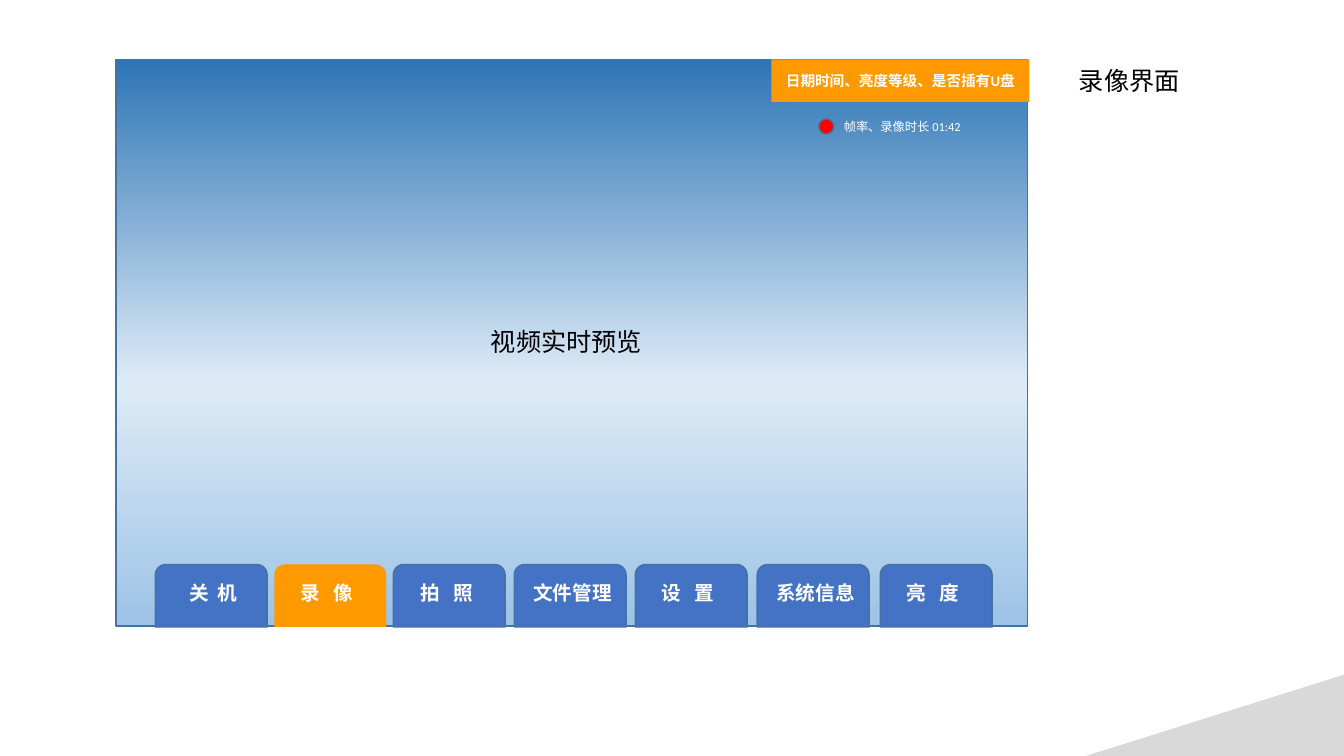
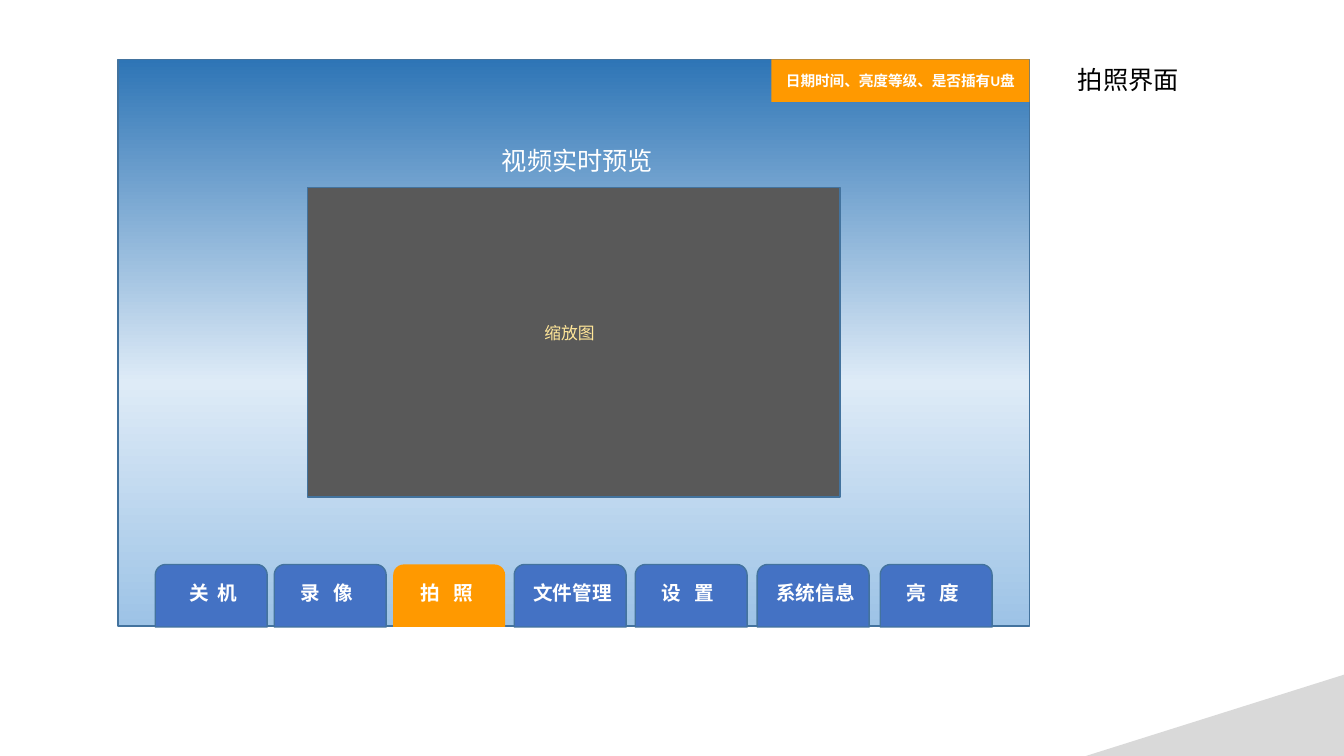
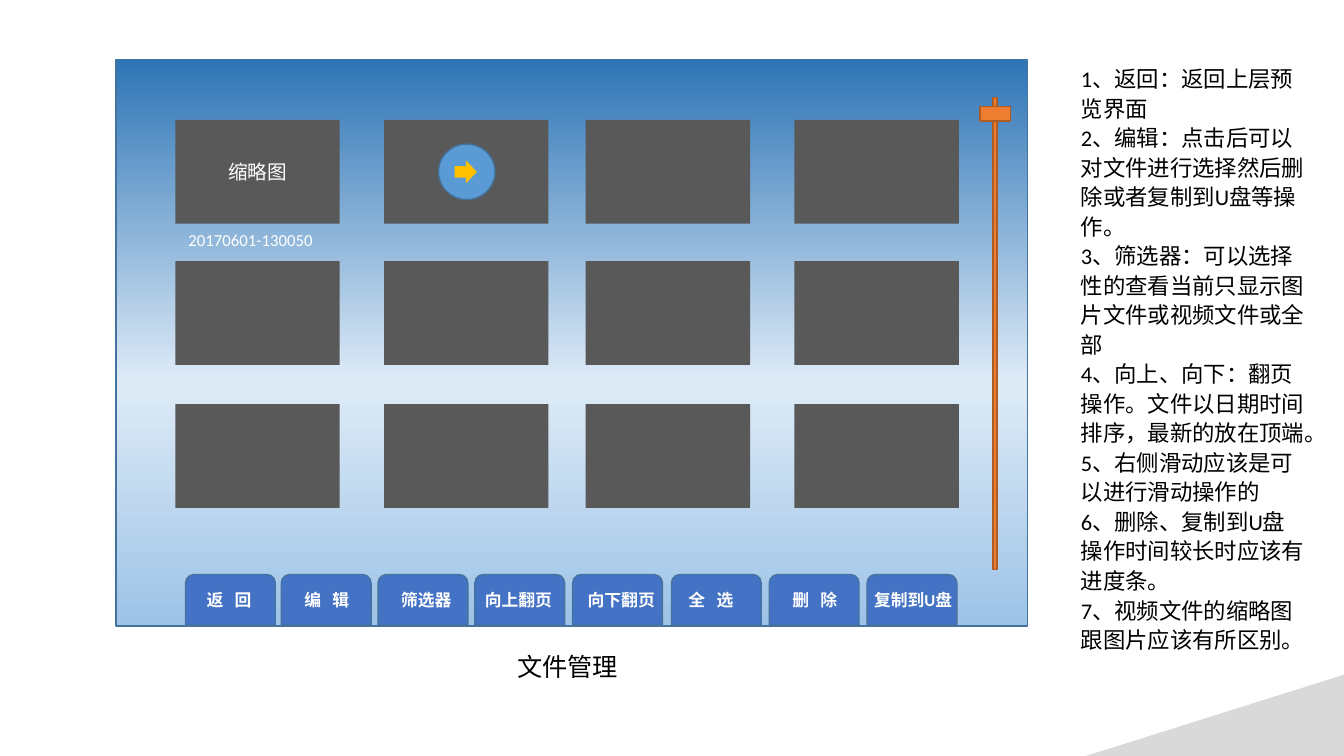
from copy import deepcopy
from dataclasses import dataclass
from typing import Optional

from pptx import Presentation
from pptx import util as u
from pptx.dml.color import RGBColor
from pptx.enum import shapes, text
from pptx.oxml.ns import qn

PX = 9144
FONT = "Calibri"

WHITE = RGBColor(0xFF, 0xFF, 0xFF)
BLACK = RGBColor(0x00, 0x00, 0x00)
BLUE = RGBColor(0x44, 0x72, 0xC4)
LIGHT_BLUE = RGBColor(0x5B, 0x9B, 0xD5)
OUTLINE = RGBColor(0x43, 0x73, 0x9E)
AMBER = RGBColor(0xFF, 0x99, 0x00)
GOLD = RGBColor(0xFF, 0xC0, 0x00)
CREAM = RGBColor(0xFF, 0xE6, 0x99)
ORANGE = RGBColor(0xED, 0x7D, 0x31)
DARK_ORANGE = RGBColor(0xAF, 0x5C, 0x24)
RED = RGBColor(0xFF, 0x00, 0x00)
CHARCOAL = RGBColor(0x59, 0x59, 0x59)
GREY = RGBColor(0xD9, 0xD9, 0xD9)
SKY_STOPS = (
    (0, RGBColor(0x2E, 0x75, 0xB6)),
    (0.57, RGBColor(0xDE, 0xEB, 0xF7)),
    (1, RGBColor(0x9D, 0xC3, 0xE6)),
)

Kind = shapes.MSO_SHAPE


@dataclass(frozen=True)
class Box:
    left: int
    top: int
    width: int
    height: int

    def emu(self) -> tuple:
        return tuple(value * PX for value in (self.left, self.top, self.width, self.height))


@dataclass(frozen=True)
class Style:
    size: float
    color: RGBColor = WHITE
    bold: bool = False
    align: text.PP_ALIGN = text.PP_ALIGN.LEFT
    tracking: int = 0


@dataclass(frozen=True)
class Tab:
    label: str
    left: int
    label_left: int
    tracking: int = 0


@dataclass(frozen=True)
class TabBar:
    top: int
    width: int
    height: int
    label_top: int
    label_width: int
    label_size: float
    tabs: tuple


MAIN_BAR = TabBar(560, 111, 62, 571, 111, 14, (
    Tab("关 机", 154, 178, 160),
    Tab("录 像", 272, 288, 320),
    Tab("拍 照", 390, 407, 320),
    Tab("文件管理", 510, 519),
    Tab("设 置", 630, 646, 320),
    Tab("系统信息", 751, 760),
    Tab("亮 度", 873, 889, 320),
))
FILE_BAR = TabBar(570, 89, 50, 580, 115, 12, (
    Tab("返 回", 184, 195, 270),
    Tab("编 辑", 279, 292, 270),
    Tab("筛选器", 375, 388),
    Tab("向上翻页", 471, 471),
    Tab("向下翻页", 568, 573),
    Tab("全 选", 666, 673, 270),
    Tab("删 除", 763, 776, 270),
    Tab("复制到U盘", 860, 857),
))
THUMBNAIL_LEFTS = (174, 381, 581, 788)
THUMBNAIL_TOPS = (119, 259, 401)
FILE_NOTES = (
    "1、返回：返回上层预览界面",
    "2、编辑：点击后可以对文件进行选择然后删除或者复制到U盘等操作。",
    "3、筛选器：可以选择性的查看当前只显示图片文件或视频文件或全部",
    "4、向上、向下：翻页操作。文件以日期时间排序，最新的放在顶端。",
    "5、右侧滑动应该是可以进行滑动操作的",
    "6、删除、复制到U盘操作时间较长时应该有进度条。",
    "7、视频文件的缩略图跟图片应该有所区别。",
)


def write(shape, lines: tuple, style: Style) -> None:
    shape.text_frame.text = "\n".join(lines)
    for paragraph in shape.text_frame.paragraphs:
        paragraph.alignment = style.align
        paragraph.font.name = FONT
        paragraph.font.size = u.Pt(style.size)
        paragraph.font.bold = style.bold
        paragraph.font.color.rgb = style.color
    if style.tracking:
        for properties in shape.element.iter(qn("a:defRPr")):
            properties.set("spc", str(style.tracking))


def add_shape(slide, kind: Kind, box: Box, fill: Optional[RGBColor] = None,
              line: Optional[RGBColor] = None):
    shape = slide.shapes.add_shape(kind, *box.emu())
    shape.shadow.inherit = False
    if fill is not None:
        shape.fill.solid()
        shape.fill.fore_color.rgb = fill
    if line is None:
        shape.line.fill.background()
    else:
        shape.line.color.rgb = line
        shape.line.width = u.Pt(1)
    return shape


def add_label(slide, box: Box, label: str, style: Style, wrap: bool = True) -> None:
    shape = slide.shapes.add_textbox(*box.emu())
    shape.text_frame.word_wrap = wrap
    write(shape, (label,), style)


def place(placeholder, box: Box, lines: tuple, style: Style) -> None:
    placeholder.left, placeholder.top, placeholder.width, placeholder.height = box.emu()
    frame = placeholder.text_frame
    frame.word_wrap = True
    frame.auto_size = text.MSO_AUTO_SIZE.NONE
    frame.vertical_anchor = text.MSO_ANCHOR.TOP
    write(placeholder, lines, style)


def add_screen(presentation, layout: int, title: str, title_box: Box, panel_left: int):
    slide = presentation.slides.add_slide(presentation.slide_layouts[layout])
    place(slide.shapes.title, title_box, (title,), Style(18, BLACK))

    panel = add_shape(slide, Kind.RECTANGLE, Box(panel_left, 59, 904, 562), line=OUTLINE)
    panel.fill.gradient()
    panel.fill.gradient_angle = 270
    stop_list = next(panel.element.iter(qn("a:gsLst")))
    stop_list.append(deepcopy(stop_list[-1]))
    for stop, (position, color) in zip(panel.fill.gradient_stops, SKY_STOPS):
        stop.position = position
        stop.color.rgb = color

    corner = add_shape(slide, Kind.RIGHT_TRIANGLE, Box(1077, 669, 257, 81), GREY)
    next(corner.element.iter(qn("a:xfrm"))).set("flipH", "1")
    return slide


def add_tabs(slide, bar: TabBar, active: str = "") -> None:
    for tab in bar.tabs:
        selected = tab.label == active
        add_shape(slide, Kind.ROUND_2_SAME_RECTANGLE,
                  Box(tab.left, bar.top, bar.width, bar.height),
                  AMBER if selected else BLUE, None if selected else OUTLINE)
        add_label(slide, Box(tab.label_left, bar.label_top, bar.label_width, 30), tab.label,
                  Style(bar.label_size, bold=True, tracking=tab.tracking), wrap=False)


def add_status(slide) -> None:
    badge = add_shape(slide, Kind.RECTANGLE, Box(765, 59, 256, 42), AMBER)
    write(badge, ("日期时间、亮度等级、是否插有U盘",),
          Style(10.5, bold=True, align=text.PP_ALIGN.CENTER))


def build_recording(presentation) -> None:
    slide = add_screen(presentation, 5, "录像界面", Box(1060, 60, 124, 40), 115)
    add_label(slide, Box(477, 319, 181, 40), "视频实时预览", Style(18, BLACK))
    add_label(slide, Box(827, 113, 158, 24), "帧率、录像时长 01:42", Style(8.8))
    add_shape(slide, Kind.OVAL, Box(812, 118, 15, 15), RED, OUTLINE)
    add_tabs(slide, MAIN_BAR, "录 像")
    add_status(slide)


def build_photo(presentation) -> None:
    slide = add_screen(presentation, 5, "拍照界面", Box(1059, 59, 127, 40), 117)
    add_shape(slide, Kind.RECTANGLE, Box(305, 186, 528, 307), CHARCOAL, OUTLINE)
    add_label(slide, Box(488, 139, 181, 40), "视频实时预览", Style(18))
    add_label(slide, Box(530, 315, 70, 30), "缩放图",
              Style(12, CREAM, align=text.PP_ALIGN.CENTER), wrap=False)
    add_tabs(slide, MAIN_BAR, "拍 照")
    add_status(slide)


def build_files(presentation) -> None:
    slide = add_screen(presentation, 1, "文件管理", Box(503, 641, 129, 40), 115)

    notes = slide.placeholders[1]
    place(notes, Box(1062, 57, 244, 596), FILE_NOTES, Style(16, BLACK))
    for paragraph in notes.text_frame.paragraphs:
        paragraph.line_spacing = 1.1
        paragraph.space_before = u.Pt(0)
    for properties in notes.element.iter(qn("a:pPr")):
        properties.set("marL", "0")
        properties.set("indent", "0")
        bullet = properties.makeelement(qn("a:buNone"), {})
        properties.find(qn("a:defRPr")).addprevious(bullet)

    thumbnails = [
        add_shape(slide, Kind.RECTANGLE, Box(left, top, 163, 103), CHARCOAL)
        for top in THUMBNAIL_TOPS for left in THUMBNAIL_LEFTS
    ]
    write(thumbnails[0], ("缩略图",), Style(14, align=text.PP_ALIGN.CENTER))
    add_label(slide, Box(177, 223, 157, 30), "20170601-130050", Style(12))

    add_shape(slide, Kind.OVAL, Box(435, 143, 56, 55), LIGHT_BLUE, OUTLINE)
    add_shape(slide, Kind.RIGHT_ARROW, Box(451, 159, 22, 23), GOLD)

    for slider_part in (Box(985, 97, 4, 468), Box(972, 106, 30, 14)):
        add_shape(slide, Kind.RECTANGLE, slider_part, ORANGE, DARK_ORANGE)
    add_tabs(slide, FILE_BAR)


def main() -> None:
    presentation = Presentation()
    presentation.slide_width = 1333 * PX
    presentation.slide_height = 750 * PX
    build_recording(presentation)
    build_photo(presentation)
    build_files(presentation)
    presentation.save("out.pptx")


if __name__ == "__main__":
    main()
